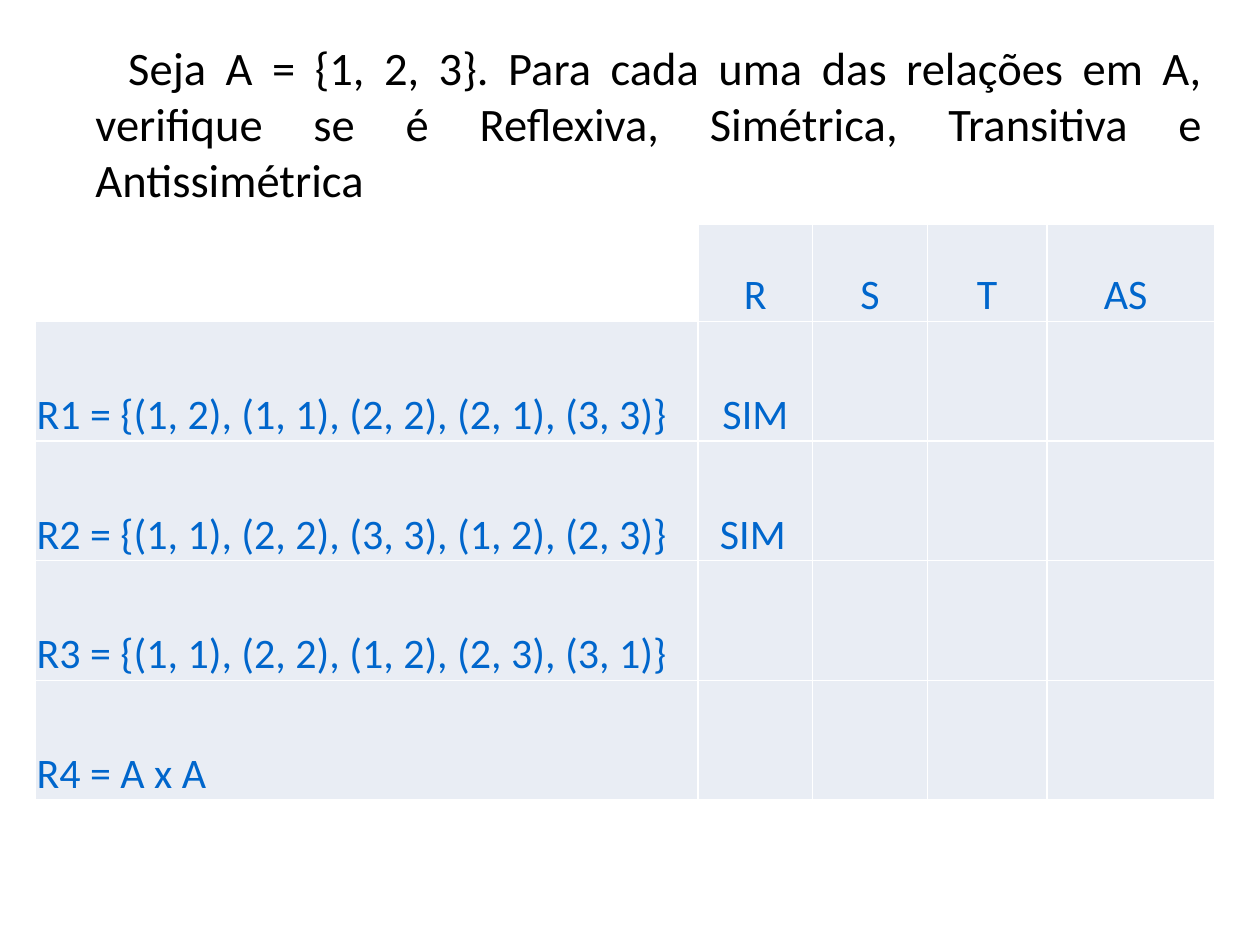
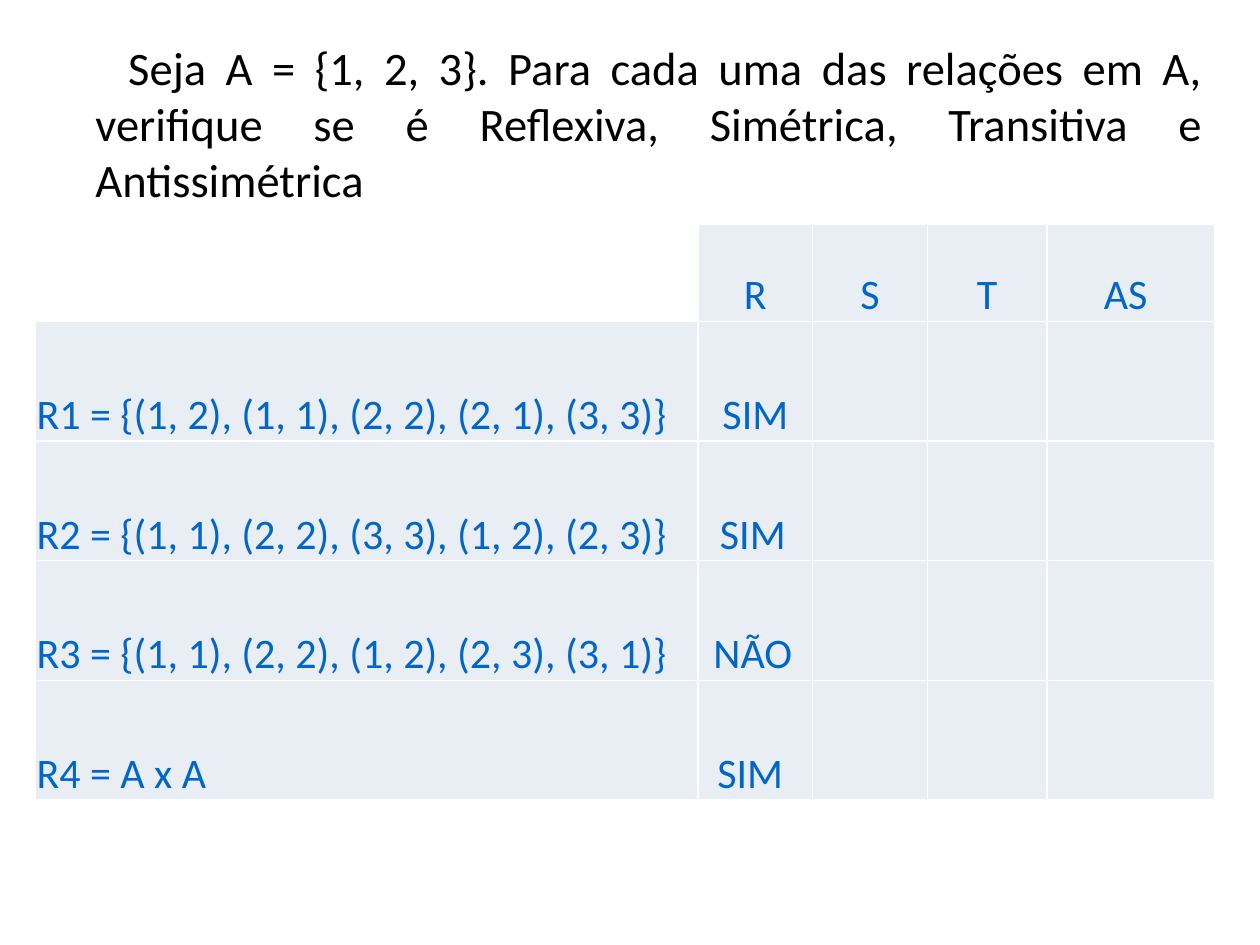
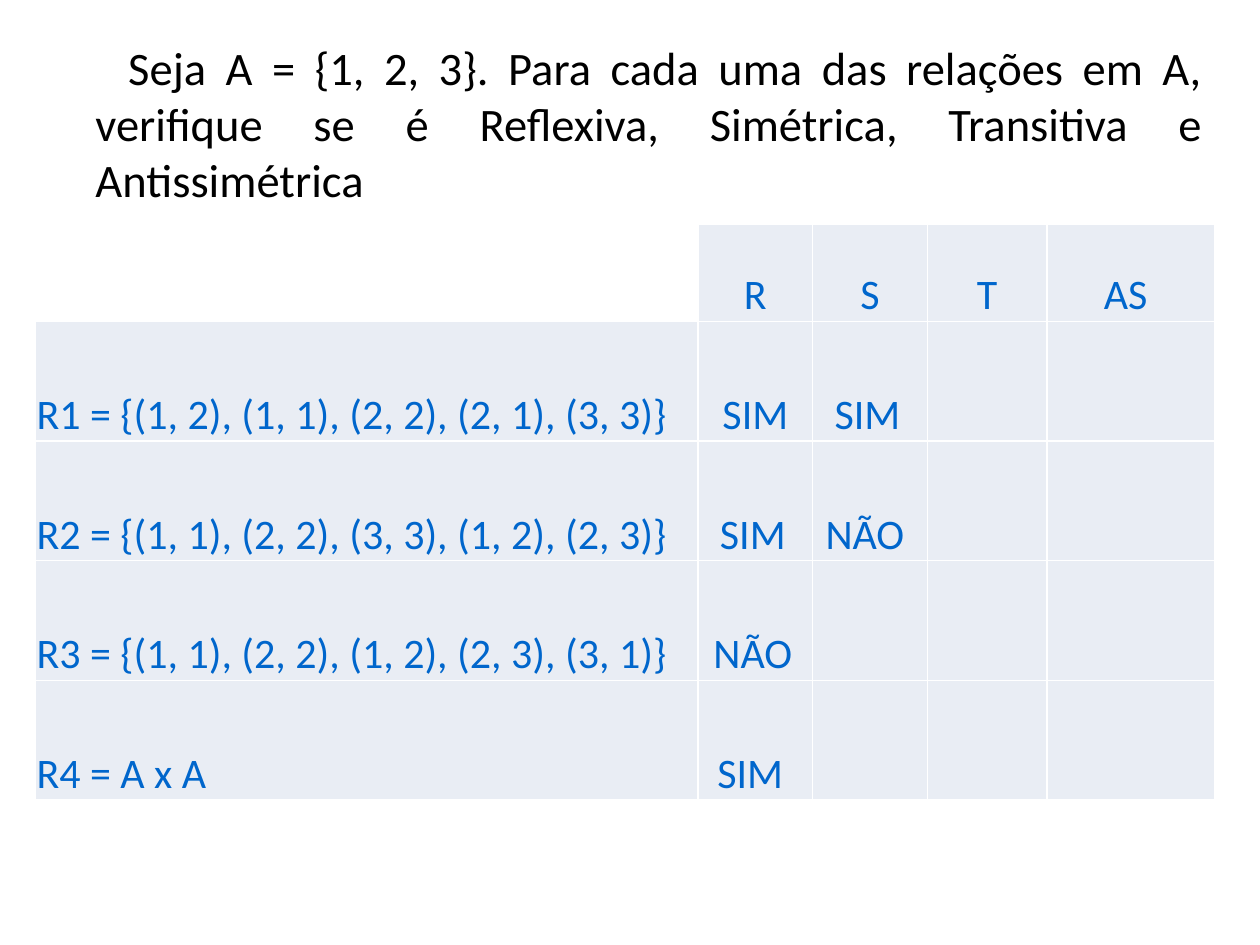
from pptx import Presentation
from pptx.dml.color import RGBColor
from pptx.enum.text import MSO_ANCHOR, PP_ALIGN
from pptx.oxml.ns import qn
from pptx.util import Inches, Pt
from lxml.etree import SubElement

# Shared look
hues = {"ink": "000000", "blue": "0066CC", "pale": "E9EDF4", "white": "FFFFFF"}
face = "Calibri"
left, wide = Inches(0.28), Inches(9.37)
cols = [5.26, 0.91, 0.91, 0.95, 1.33]
rows = [0.77] + [0.95] * 4

# Shared wording
task = ("Seja A = {1, 2, 3}. Para cada uma das relações em A, verifique se é "
        "Reflexiva, Simétrica, Transitiva e Antissimétrica")
heads = ["", "R", "S", "T", "AS"]
sets = ["R1 = {(1, 2), (1, 1), (2, 2), (2, 1), (3, 3)}",
        "R2 = {(1, 1), (2, 2), (3, 3), (1, 2), (2, 3)}",
        "R3 = {(1, 1), (2, 2), (1, 2), (2, 3), (3, 1)}",
        "R4 = A x A"]

# Answers by column, as far as each slide has come
steps = [
    {1: ["SIM", "SIM"]},
    {1: ["SIM", "SIM", "NÃO", "SIM"]},
    {1: ["SIM", "SIM", "NÃO", "SIM"], 2: ["SIM", "NÃO"]},
]
# Extra right margin by (row, column)
pads = {(0, 4): 0.08, (2, 1): 0.04, (3, 1): 0.04, (4, 1): 0.08,
        (1, 2): 0.04, (2, 2): 0.08}


def style(para, size, hue, align):
    para.font.name = face
    para.font.size = Pt(size)
    para.font.color.rgb = RGBColor.from_string(hues[hue])
    para.alignment = align


def paint(cell, hue):
    props = cell._tc.get_or_add_tcPr()
    for side in ("a:lnL", "a:lnR", "a:lnT", "a:lnB"):
        line = SubElement(props, qn(side), w=str(Pt(1)))
        fill = SubElement(line, qn("a:solidFill"))
        SubElement(fill, qn("a:srgbClr"), val=hues["white"])
    cell.fill.solid()
    cell.fill.fore_color.rgb = RGBColor.from_string(hues[hue])


deck = Presentation()
deck.slide_width, deck.slide_height = Inches(10), Inches(7.5)

for step in steps:
    slide = deck.slides.add_slide(deck.slide_layouts[6])

    # Task text
    frame = slide.shapes.add_textbox(left, Inches(0.23), wide, Inches(1.7)).text_frame
    frame.word_wrap = True
    frame.margin_top = Inches(0.08)
    para = frame.paragraphs[0]
    para.text = task
    style(para, 26.6, "ink", PP_ALIGN.JUSTIFY)
    props = para._p.get_or_add_pPr()
    props.set("marL", str(Inches(0.38)))
    props.set("indent", str(Inches(0.26)))

    # Table of relations
    table = slide.shapes.add_table(
        len(rows), len(cols), left, Inches(1.78), wide, Inches(4.57)).table
    table.first_row = table.horz_banding = False
    for col, width in zip(table.columns, cols):
        col.width = Inches(width)
    for row, height in zip(table.rows, rows):
        row.height = Inches(height)

    # Cell wording
    grid = [heads] + [[name, "", "", "", ""] for name in sets]
    for c, words in step.items():
        for r, word in enumerate(words, 1):
            grid[r][c] = word

    for r, line in enumerate(grid):
        for c, word in enumerate(line):
            cell = table.cell(r, c)
            paint(cell, "pale" if r or c else "white")
            cell.vertical_anchor = MSO_ANCHOR.BOTTOM
            cell.margin_left = cell.margin_top = Inches(0.01)
            cell.margin_right = Inches(0.01 + pads.get((r, c), 0))
            cell.margin_bottom = 0
            cell.text = word
            style(cell.text_frame.paragraphs[0], 24, "blue",
                  PP_ALIGN.CENTER if c else PP_ALIGN.LEFT)

deck.save("out.pptx")
